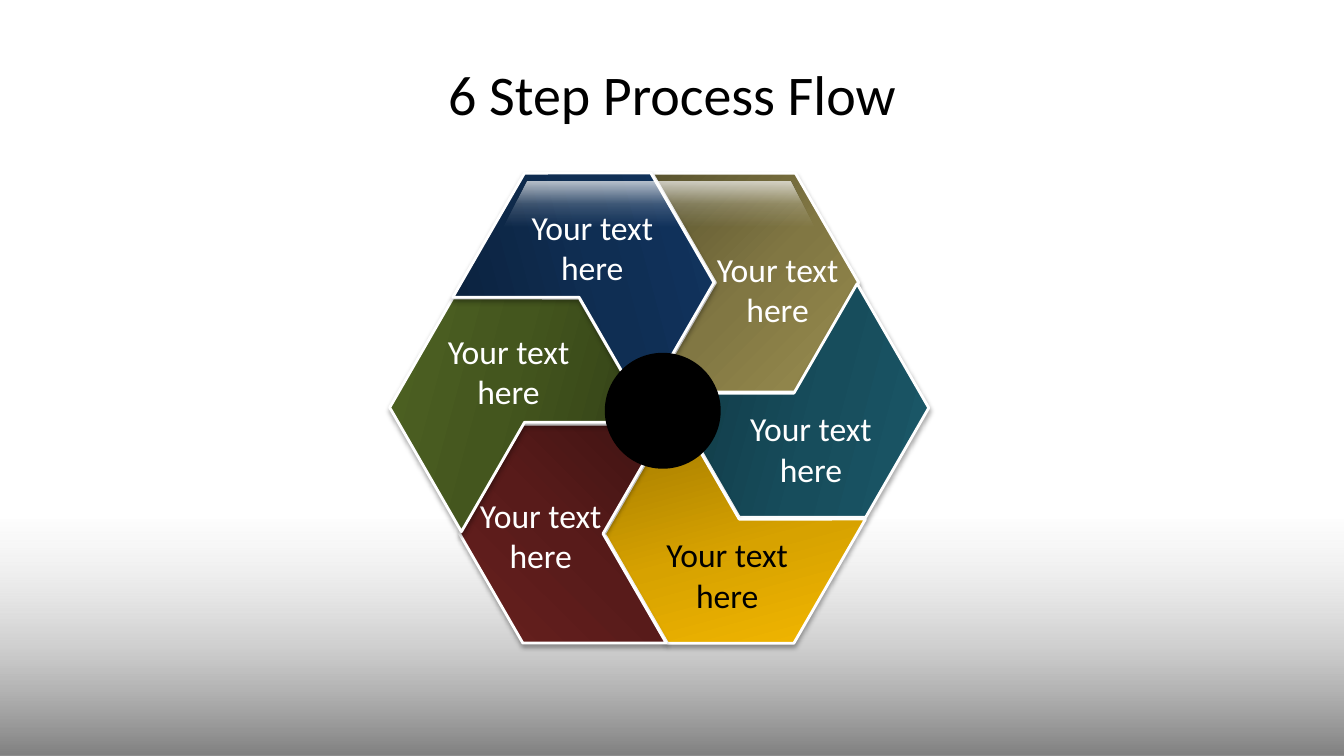
"""Build a slide with a six-step hexagon process flow."""
from pptx import Presentation
from pptx.dml.color import RGBColor
from pptx.enum.shapes import MSO_SHAPE
from pptx.enum.text import MSO_ANCHOR, MSO_AUTO_SIZE, PP_ALIGN
from pptx.oxml import parse_xml
from pptx.oxml.ns import nsdecls, qn
from pptx.util import Pt

RECT = MSO_SHAPE.RECTANGLE
CHEVRON = MSO_SHAPE.CHEVRON
TRAPEZOID = MSO_SHAPE.TRAPEZOID
OVAL = MSO_SHAPE.OVAL
CENTER = PP_ALIGN.CENTER
MIDDLE = MSO_ANCHOR.MIDDLE
TOP = MSO_ANCHOR.TOP
GROW = MSO_AUTO_SIZE.SHAPE_TO_FIT_TEXT
FIXED = MSO_AUTO_SIZE.NONE

WHITE, BLACK = "FFFFFF", "000000"
STEP_SIZE = (147.6, 156.24)
LABEL_SIZE = (114.5, 65.5)
STEPS = [
    ((465.8, 123.8), 0, False, ("5A542F", "817743", "998D4F"), (498.2, 174.2), WHITE),
    ((507.6, 227.5), 240, True, ("103641", "174D5C", "1C5C6D"), (522, 288), WHITE),
    ((439.9, 317.5), 300, True, ("977200", "D7A200", "FFC000"), (462.2, 378), BLACK),
    ((328.3, 303.1), 0, True, ("3E1312", "581B1A", "68201E"), (329, 349.9), WHITE),
    ((286.6, 198.7), 60, True, ("303D15", "44561E", "516624"), (306, 232.6), WHITE),
    ((354.2, 109.4), 300, False, ("0B203B", "0F2E53", "123663"), (365.8, 144), WHITE),
]


def ink(code):
    """Turn a hex string into a colour."""
    return RGBColor.from_string(code)


def write(frame, text, size=24, color=WHITE, font="Calibri", anchor=TOP, fit=GROW):
    """Put centred, formatted text in a text frame."""
    frame.word_wrap = True
    frame.auto_size = fit
    frame.vertical_anchor = anchor
    para = frame.paragraphs[0]
    para.alignment = CENTER
    run = para.add_run()
    run.text = text
    run.font.size = Pt(size)
    run.font.name = font
    run.font.color.rgb = ink(color)


def fade(shape, stops, angle):
    """Fill a shape with a gradient of (place, colour, opacity) stops."""
    marks = "".join(
        f'<a:gs pos="{place * 1000}"><a:srgbClr val="{code}">'
        f'<a:alpha val="{alpha * 1000}"/></a:srgbClr></a:gs>'
        for place, code, alpha in stops)
    shape.fill.gradient()
    props = shape._element.spPr
    props.replace(props.find(qn("a:gradFill")), parse_xml(
        f'<a:gradFill {nsdecls("a")} rotWithShape="1"><a:gsLst>{marks}</a:gsLst>'
        f'<a:lin ang="{angle * 60000}" scaled="0"/></a:gradFill>'))


def shade(shape):
    """Give a shape a soft shadow below it."""
    effects = shape._element.spPr.find(qn("a:effectLst"))
    effects.append(parse_xml(
        f'<a:outerShdw {nsdecls("a")} blurRad="{Pt(3.5)}" dist="{Pt(2.2)}" '
        'dir="5400000" algn="ctr" rotWithShape="0"><a:srgbClr val="000000">'
        '<a:alpha val="32000"/></a:srgbClr></a:outerShdw>'))


class Page:
    """Hold the style and the current slide."""

    def __init__(self, slide, edge=2):
        """Keep the slide and the width of step outlines."""
        self.slide = slide
        self.edge = edge

    def title(self, text, *box):
        """Place and fill the title above what is drawn so far."""
        head = self.slide.shapes.title
        head.left, head.top, head.width, head.height = map(Pt, box)
        write(head.text_frame, text, size=40, color=BLACK, anchor=MIDDLE, fit=FIXED)
        self.slide.shapes._spTree.append(head._element)

    def shape(self, kind, *box, bend=None):
        """Add a plain shape without line or shadow."""
        item = self.slide.shapes.add_shape(kind, *map(Pt, box))
        item.shadow.inherit = False
        item.line.fill.background()
        if bend is not None:
            item.adjustments[0] = bend
        return item

    def label(self, text, *box, color=WHITE):
        """Add a text box."""
        item = self.slide.shapes.add_textbox(*map(Pt, box))
        write(item.text_frame, text, color=color)

    def step(self, spot, turn, flip, tones, place, color):
        """Add one chevron of the hexagon with its label."""
        item = self.shape(CHEVRON, *spot, *STEP_SIZE, bend=0.306)
        item.rotation = turn
        if flip:
            item._element.spPr.get_or_add_xfrm().set("flipH", "1")
        fade(item, [(at, tone, 100) for at, tone in zip((0, 50, 100), tones)], 45)
        item.line.color.rgb = ink(WHITE)
        item.line.width = Pt(self.edge)
        shade(item)
        self.label("Your text here", *place, *LABEL_SIZE, color=color)


def main():
    """Build and save the slide."""
    deck = Presentation()
    deck.slide_width, deck.slide_height = Pt(960), Pt(540)
    page = Page(deck.slides.add_slide(deck.slide_layouts[5]))

    floor = page.shape(RECT, 0, 370.8, 960, 169.2)
    fade(floor, [(0, "D9D9D9", 4), (46, "BFBFBF", 60), (100, "808080", 100)], 90)
    page.title("6 Step Process Flow", 48, 21.6, 864, 90)

    for step in STEPS:
        page.step(*step)

    gloss = page.shape(TRAPEZOID, 360, 129.6, 221.8, 32.4, bend=0.523)
    fade(gloss, [(0, WHITE, 70), (50, WHITE, 19), (100, "E1E8F5", 0)], 90)
    hub = page.shape(OVAL, 432, 252, 82.8, 82.8)
    hub.fill.solid()
    hub.fill.fore_color.rgb = ink(BLACK)

    deck.save("out.pptx")


if __name__ == "__main__":
    main()
